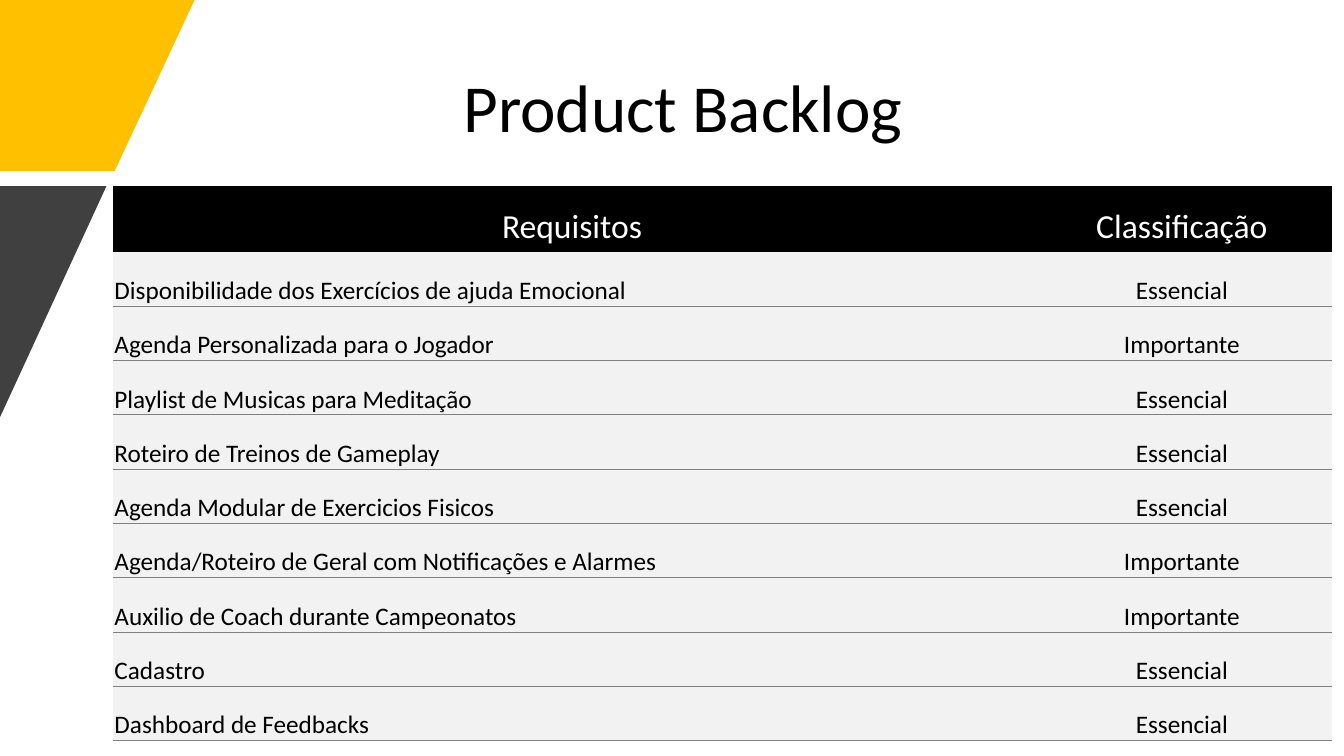
import pptx
import pptx.util
import pptx.dml.color
import pptx.enum.text
import pptx.oxml

Pt = pptx.util.Pt
ALIGN = pptx.enum.text.PP_ALIGN
ANCHOR = pptx.enum.text.MSO_ANCHOR
NS = "http://schemas.openxmlformats.org/drawingml/2006/main"
NO_STYLE = "{2D5ABB26-0587-4C30-8999-92F81FD0307C}"


def rgb(value):
    return pptx.dml.color.RGBColor.from_string(value)


def write(tf, text, size=18, color="000000", align=ALIGN.LEFT):
    p = tf.paragraphs[0]
    p.alignment = align
    r = p.add_run()
    r.text = text
    r.font.name = "Calibri"
    r.font.size = Pt(size)
    r.font.color.rgb = rgb(color)


prs = pptx.Presentation()
prs.slide_width, prs.slide_height = Pt(960), Pt(540)
s = prs.slides.add_slide(prs.slide_layouts[6])

corners = [
    ("FFC000", [(0, 0), (139, 0), (82, 122.4), (0, 122.4)]),
    ("404040", [(0, 133.2), (76.4, 133.2), (0, 298)]),
]
for color, points in corners:
    builder = s.shapes.build_freeform(*points[0], scale=Pt(1))
    builder.add_line_segments(points[1:], close=True)
    sp = builder.convert_to_shape()
    sp.shadow.inherit = False
    sp.fill.solid()
    sp.fill.fore_color.rgb = rgb(color)
    sp.line.fill.background()

rows = [
    ("Requisitos", "Classificação"),
    ("Disponibilidade dos Exercícios de ajuda Emocional", "Essencial"),
    ("Agenda Personalizada para o Jogador", "Importante"),
    ("Playlist de Musicas para Meditação", "Essencial"),
    ("Roteiro de Treinos de Gameplay", "Essencial"),
    ("Agenda Modular de Exercicios Fisicos", "Essencial"),
    ("Agenda/Roteiro de Geral com Notificações e Alarmes", "Importante"),
    ("Auxilio de Coach durante Campeonatos", "Importante"),
    ("Cadastro", "Essencial"),
    ("Dashboard de Feedbacks", "Essencial"),
]
table = s.shapes.add_table(len(rows), 2, Pt(80.6), Pt(133.2), Pt(871.2), Pt(396)).table
table._tbl.tblPr.find(f"{{{NS}}}tableStyleId").text = NO_STYLE
table.columns[0].width, table.columns[1].width = Pt(656), Pt(215.2)

for i, row in enumerate(rows):
    header = i == 0
    table.rows[i].height = Pt(46.8 if header else 38.8)
    for j, text in enumerate(row):
        cell = table.cell(i, j)
        cell.margin_left = cell.margin_right = Pt(1.2)
        cell.margin_top, cell.margin_bottom = Pt(10.8), 0
        cell.vertical_anchor = ANCHOR.MIDDLE if header else ANCHOR.BOTTOM
        cell.fill.solid()
        cell.fill.fore_color.rgb = rgb("000000" if header else "F2F2F2")
        write(cell.text_frame, text, size=24 if header else 18,
              color="FFFFFF" if header else "000000",
              align=ALIGN.CENTER if header or j == 1 else ALIGN.LEFT)
        if not header:
            border = pptx.oxml.parse_xml(
                f'<a:lnB xmlns:a="{NS}" w="9525"><a:solidFill>'
                '<a:srgbClr val="808080"/></a:solidFill></a:lnB>')
            cell._tc.get_or_add_tcPr().insert(0, border)

tf = s.shapes.add_textbox(Pt(324), Pt(43.2), Pt(400.3), Pt(65.4)).text_frame
tf.word_wrap = True
tf.auto_size = pptx.enum.text.MSO_AUTO_SIZE.SHAPE_TO_FIT_TEXT
write(tf, "Product Backlog", size=48)

prs.save("out.pptx")
